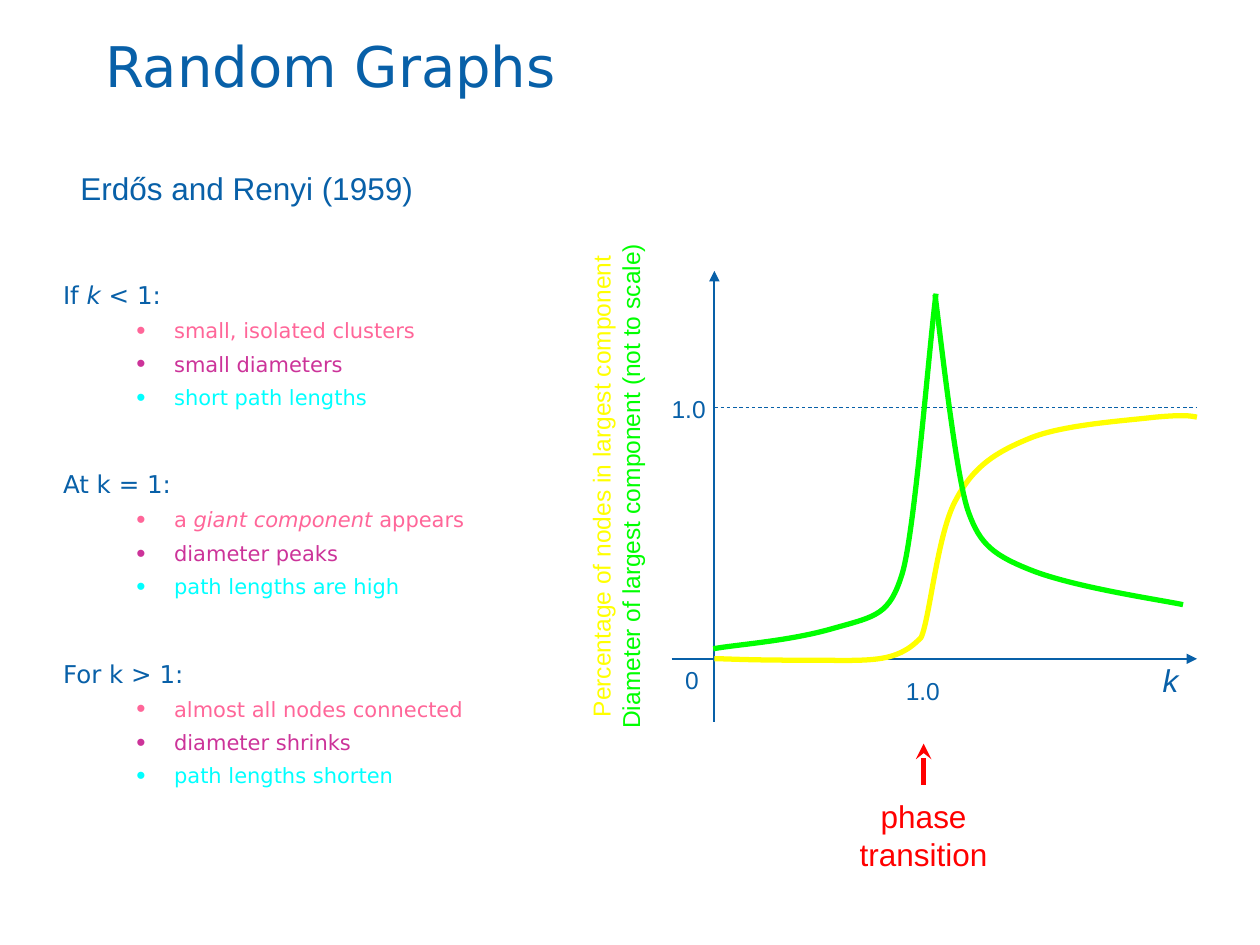
"""Build the Random Graphs slide with its phase transition diagram."""
from lxml.etree import SubElement
from pptx import Presentation
from pptx.dml.color import RGBColor
from pptx.enum.dml import MSO_LINE
from pptx.enum.shapes import MSO_CONNECTOR
from pptx.enum.text import MSO_ANCHOR, MSO_AUTO_SIZE, PP_ALIGN
from pptx.oxml.ns import qn
from pptx.util import Cm, Pt

BLUE, RED, YELLOW, GREEN = "0860A8", "FF0000", "FFFF00", "00FF00"
BULLET_COLORS = ["FF6699", "CC3399", "00FFFF"]
ORIGIN_X, ORIGIN_Y, AXIS_END = 14.4, 13.28, 24.13

SECTIONS = [
    (["If ", "*k", " < 1:"],
     [["small, isolated clusters"], ["small diameters"], ["short path lengths"]]),
    (["At k = 1:"],
     [["a", "* giant component ", "appears"], ["diameter peaks"], ["path lengths are high"]]),
    (["For k > 1:"],
     [["almost all nodes connected"], ["diameter shrinks"], ["path lengths shorten"]]),
]

COMPONENT_SIZE = [
    (14.4, 13.28), (14.71, 13.28), (14.99, 13.31), (16.26, 13.31),
    (17.53, 13.31), (18.06, 13.39), (18.57, 12.85),
    (18.75, 12.45), (18.9, 10.72), (19.28, 10.06),
    (19.63, 9.4), (20.07, 9.12), (20.75, 8.84),
    (21.41, 8.56), (22.71, 8.48), (23.29, 8.41),
    (23.85, 8.36), (23.98, 8.38), (24.13, 8.41)]
DIAMETER_RISE = [
    (14.38, 13.08), (14.78, 13), (15.9, 12.93), (16.79, 12.67),
    (17.68, 12.42), (17.93, 12.4), (18.19, 11.56),
    (18.44, 10.72), (18.72, 7.09), (18.87, 5.92)]
DIAMETER_FALL = [
    (23.85, 12.19), (23.37, 12.09), (21.79, 11.86), (20.88, 11.53),
    (20.01, 11.2), (19.76, 10.97), (19.53, 10.34),
    (19.28, 9.68), (18.97, 6.86), (18.85, 5.94)]


def rgb(value):
    return RGBColor.from_string(value)


class SlideBuilder:
    def __init__(self, slide, label_font="Arial", text_font="DejaVu Sans"):
        self.s = slide
        self.label_font = label_font
        self.text_font = text_font

    def runs(self, p, texts, size, color, font):
        for text in texts:
            r = p.add_run()
            r.text = text.removeprefix("*")
            r.font.name = font
            r.font.size = Pt(size)
            r.font.italic = text.startswith("*")
            r.font.color.rgb = rgb(color)

    def place(self, sp, box):
        sp.left, sp.top, sp.width, sp.height = map(Cm, box)
        tf = sp.text_frame
        tf.margin_left = tf.margin_right = tf.margin_top = tf.margin_bottom = 0
        tf.vertical_anchor = MSO_ANCHOR.TOP
        tf.auto_size = MSO_AUTO_SIZE.NONE
        tf.word_wrap = True
        return tf

    def title(self, text, *box):
        p = self.place(self.s.shapes.title, box).paragraphs[0]
        p.alignment = PP_ALIGN.LEFT
        self.runs(p, [text], 32, BLUE, self.text_font)

    def bullet(self, p, color, left):
        pPr = p._p.get_or_add_pPr()
        pPr.set("marL", str(Cm(left)))
        pPr.set("indent", str(Cm(-0.76)))
        if color is None:
            SubElement(pPr, qn("a:buNone"))
            return
        SubElement(SubElement(pPr, qn("a:buClr")), qn("a:srgbClr"), val=color)
        SubElement(pPr, qn("a:buSzPct"), val="125000")
        SubElement(pPr, qn("a:buFont"), typeface=self.label_font)
        SubElement(pPr, qn("a:buChar"), char="•")

    def outline(self, sections, *box):
        tf = self.place(self.s.placeholders[1], box)
        for i, (heading, items) in enumerate(sections):
            p = tf.add_paragraph() if i else tf.paragraphs[0]
            self.bullet(p, None, 0.76)
            p.line_spacing = 0.9
            p.space_before = Pt(36 if i else 0)
            self.runs(p, heading, 14, BLUE, self.text_font)
            for item, color in zip(items, BULLET_COLORS):
                p = tf.add_paragraph()
                p.level = 1
                self.bullet(p, color, 2.24)
                p.line_spacing = 0.9
                p.space_before = Pt(6)
                self.runs(p, item, 12, color, self.text_font)

    def label(self, lines, *box, size=14, align=PP_ALIGN.LEFT, vertical=False):
        tf = self.s.shapes.add_textbox(*map(Cm, box)).text_frame
        tf.word_wrap = vertical
        tf.auto_size = MSO_AUTO_SIZE.SHAPE_TO_FIT_TEXT
        if vertical:
            tf.vertical_anchor = MSO_ANCHOR.MIDDLE
            tf._txBody.bodyPr.set("vert", "vert270")
        for i, (text, color) in enumerate(lines):
            p = tf.add_paragraph() if i else tf.paragraphs[0]
            p.alignment = align
            self.runs(p, [text], size, color, self.label_font)

    def line(self, x1, y1, x2, y2, color=BLUE, width=1, head=None, dash=None):
        sp = self.s.shapes.add_connector(MSO_CONNECTOR.STRAIGHT, *map(Cm, (x1, y1, x2, y2)))
        sp.line.color.rgb = rgb(color)
        sp.line.width = Pt(width)
        if dash:
            sp.line.dash_style = dash
        spPr = sp.element.spPr
        if head:
            SubElement(spPr.find(qn("a:ln")), qn("a:tailEnd"), type=head)
        SubElement(spPr, qn("a:effectLst"))

    def curve(self, knots, color):
        start, *rest = [(Cm(x), Cm(y)) for x, y in knots]
        builder = self.s.shapes.build_freeform(*start)
        builder.add_line_segments(rest, close=False)
        sp = builder.convert_to_shape()
        outline = sp.element.spPr.find(".//" + qn("a:path"))
        segments = outline.findall(qn("a:lnTo"))
        for i in range(0, len(segments), 3):
            bezier = SubElement(outline, qn("a:cubicBezTo"))
            for segment in segments[i:i + 3]:
                bezier.append(segment[0])
                outline.remove(segment)
        sp.shadow.inherit = False
        sp.fill.background()
        sp.line.color.rgb = rgb(color)
        sp.line.width = Pt(3)


def main():
    prs = Presentation()
    prs.slide_width, prs.slide_height = Cm(25.4), Cm(19.05)
    s = SlideBuilder(prs.slides.add_slide(prs.slide_layouts[1]))

    s.title("Random Graphs", 2.12, 0.64, 21.59, 3.18)
    s.outline(SECTIONS, 1.27, 5.72, 9.47, 12.5)
    s.label([("Erdős and Renyi (1959)", BLUE)], 1.37, 3.28, 7.21, 1.02, size=18)

    s.line(ORIGIN_X, 14.55, ORIGIN_X, 5.46, head="triangle")
    s.line(13.54, ORIGIN_Y, AXIS_END, ORIGIN_Y, head="triangle")
    s.curve(COMPONENT_SIZE, YELLOW)
    s.line(ORIGIN_X, 8.21, AXIS_END, 8.21, width=0.5, dash=MSO_LINE.DASH)

    s.label([("Percentage of nodes in largest component", YELLOW),
             ("Diameter of largest component (not to scale)", GREEN)],
            11.57, 4.04, 1.68, 11.53, align=PP_ALIGN.CENTER, vertical=True)
    for text, x, y, width in [("1.0", 13.29, 7.82, 1.19), ("0", 13.56, 13.29, 0.79),
                              ("1.0", 18.01, 13.5, 1.19)]:
        s.label([(text, BLUE)], x, y, width, 0.86)
    s.label([("*k", BLUE)], 22.96, 13.2, 1.27, 1.02, size=18, align=PP_ALIGN.CENTER)

    s.line(18.62, 15.82, 18.62, 14.99, color=RED, width=3, head="stealth")
    s.label([("phase transition", RED)], 16.13, 15.94, 4.98, 1.02,
            size=18, align=PP_ALIGN.CENTER)
    s.curve(DIAMETER_RISE, GREEN)
    s.curve(DIAMETER_FALL, GREEN)
    prs.save("out.pptx")


if __name__ == "__main__":
    main()
